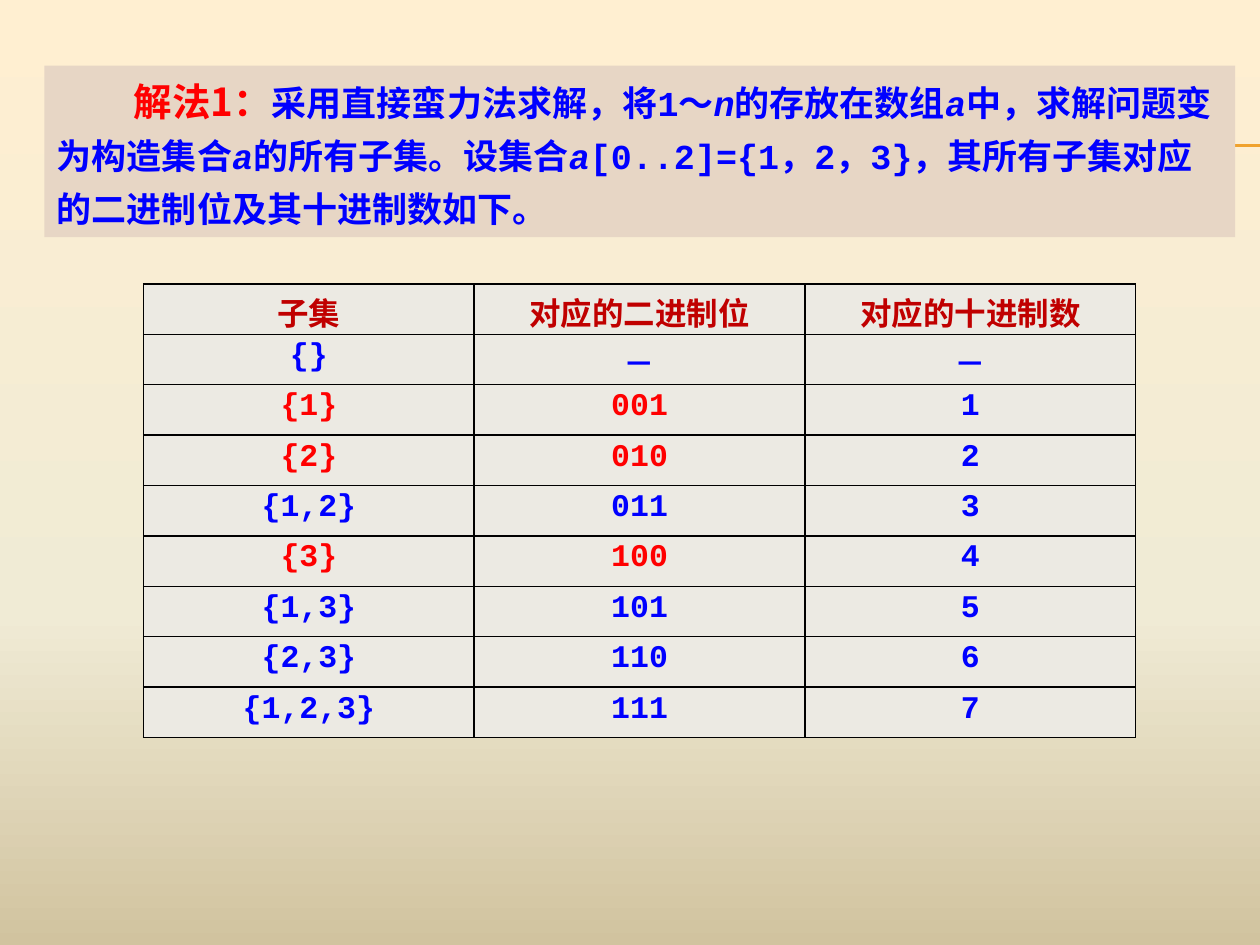
"""Build a slide that lists the subsets of {1,2,3} with their binary and decimal codes."""
from copy import deepcopy

from lxml import etree
from pptx import Presentation
from pptx.dml.color import RGBColor
from pptx.enum.shapes import MSO_CONNECTOR, MSO_SHAPE
from pptx.enum.text import MSO_ANCHOR, MSO_AUTO_SIZE, PP_ALIGN
from pptx.oxml.ns import qn
from pptx.util import Pt

STRAIGHT = MSO_CONNECTOR.STRAIGHT
RECTANGLE = MSO_SHAPE.RECTANGLE
TOP = MSO_ANCHOR.TOP
FIT_SHAPE = MSO_AUTO_SIZE.SHAPE_TO_FIT_TEXT
LEFT, CENTER = PP_ALIGN.LEFT, PP_ALIGN.CENTER

BLUE = RGBColor(0x00, 0x00, 0xFF)
RED = RGBColor(0xFF, 0x00, 0x00)
DARK_RED = RGBColor(0xC0, 0x00, 0x00)
BLACK = RGBColor(0x00, 0x00, 0x00)
ORANGE = RGBColor(0xF0, 0xA2, 0x2E)
PANEL = RGBColor(0xE7, 0xD6, 0xC5)
CELL = RGBColor(0xEC, 0xEA, 0xE3)
BACKGROUND = [
    (0, RGBColor(0xFF, 0xEF, 0xD1)),
    (0.65, RGBColor(0xF0, 0xEB, 0xD5)),
    (1, RGBColor(0xD1, 0xC3, 0x9F)),
]
CODE_FONT = "Courier New"
CHINESE_FONT = "Noto Sans CJK SC"


def add_text(paragraph, text, size=20, color=BLUE, font=CODE_FONT, italic=False):
    run = paragraph.add_run()
    run.text = text
    run.font.size = Pt(size)
    run.font.bold = True
    run.font.italic = italic
    run.font.color.rgb = color
    run.font.name = font
    properties = run._r.get_or_add_rPr()
    etree.SubElement(properties, qn("a:ea"), typeface=CHINESE_FONT)


def add_borders(cell):
    properties = cell._tc.get_or_add_tcPr()
    for position, side in enumerate(("a:lnL", "a:lnR", "a:lnT", "a:lnB")):
        border = etree.Element(qn(side), w=str(Pt(1)))
        fill = etree.SubElement(border, qn("a:solidFill"))
        etree.SubElement(fill, qn("a:srgbClr"), val=str(BLACK))
        properties.insert(position, border)


presentation = Presentation()
presentation.slide_width = Pt(720)
presentation.slide_height = Pt(540)
slide = presentation.slides.add_slide(presentation.slide_layouts[6])

background = slide.background.fill
background.gradient()
background.gradient_angle = 270
stop_list = slide._element.find(".//" + qn("a:gsLst"))
stop_list.append(deepcopy(stop_list[-1]))
for stop, (position, color) in zip(background.gradient_stops, BACKGROUND):
    stop.position = position
    stop.color.rgb = color

for line_top in (82.8, 83.5):
    line = slide.shapes.add_connector(
        STRAIGHT, Pt(40), Pt(line_top), Pt(720), Pt(line_top)
    )
    line.line.color.rgb = ORANGE
    line.line.width = Pt(0.75)
    etree.SubElement(line._element.spPr, qn("a:effectLst"))

panel = slide.shapes.add_shape(RECTANGLE, Pt(25.4), Pt(37.5), Pt(680.4), Pt(98))
panel.shadow.inherit = False
panel.fill.solid()
panel.fill.fore_color.rgb = PANEL
panel.line.fill.background()
panel.text_frame.word_wrap = True
panel.text_frame.auto_size = FIT_SHAPE
panel.text_frame.vertical_anchor = TOP
paragraph = panel.text_frame.paragraphs[0]
paragraph.alignment = LEFT
paragraph.line_spacing = Pt(30)
paragraph._p.get_or_add_pPr().set("indent", str(Pt(44)))
add_text(paragraph, "解法1：", size=22, color=RED, font=CHINESE_FONT)
for text, italic in (
    ("采用直接蛮力法求解，将1～", False),
    ("n", True),
    ("的存放在数组", False),
    ("a", True),
    ("中，求解问题变为构造集合", False),
    ("a", True),
    ("的所有子集。设集合", False),
    ("a", True),
    ("[0..2]={1，2，3}，其所有子集对应的二进制位及其十进制数如下。", False),
):
    add_text(paragraph, text, italic=italic)

rows = [(("子集", "对应的二进制位", "对应的十进制数"), (DARK_RED,) * 3)]
rows.append((("{}", "－", "－"), (BLUE,) * 3))
for number in range(1, 8):
    members = [str(bit + 1) for bit in range(3) if number >> bit & 1]
    subset = "{" + ",".join(members) + "}"
    color = RED if len(members) == 1 else BLUE
    rows.append(((subset, f"{number:03b}", str(number)), (color, color, BLUE)))

table = slide.shapes.add_table(
    len(rows), 3, Pt(82), Pt(162.2), Pt(567), Pt(28.8 * len(rows))
).table
table.first_row = False
table.horz_banding = False
for row_index, (texts, colors) in enumerate(rows):
    for column_index, (text, color) in enumerate(zip(texts, colors)):
        cell = table.cell(row_index, column_index)
        cell.fill.solid()
        cell.fill.fore_color.rgb = CELL
        cell.margin_top = Pt(2.7)
        cell.margin_bottom = Pt(0)
        add_borders(cell)
        paragraph = cell.text_frame.paragraphs[0]
        paragraph.alignment = CENTER
        add_text(paragraph, text, size=18, color=color)

presentation.save("out.pptx")
